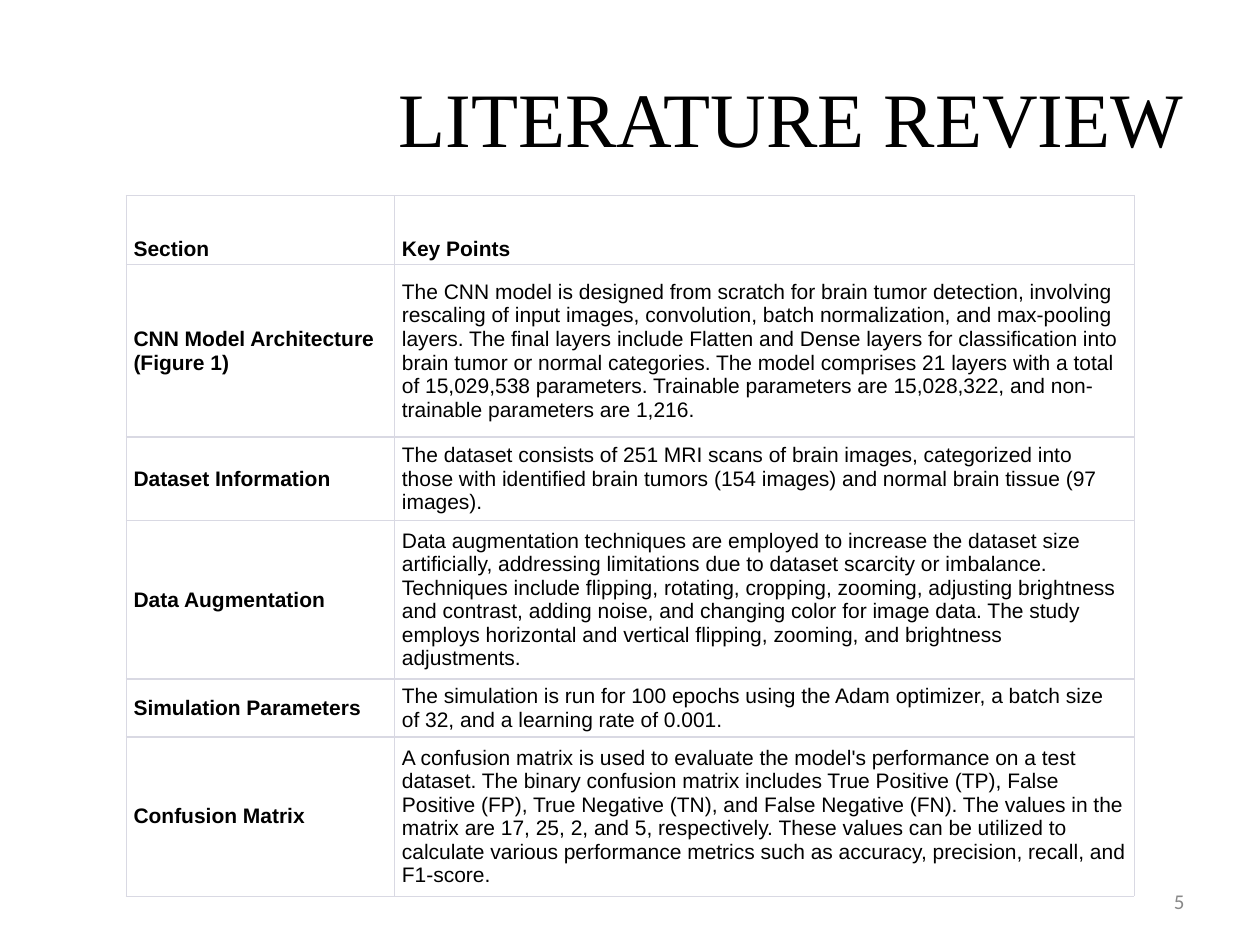
import pptx
import pptx.util
import pptx.dml.color
import pptx.enum.text
import pptx.oxml
import pptx.oxml.ns
import lxml.etree

Inches = pptx.util.Inches
Pt = pptx.util.Pt
Align = pptx.enum.text.PP_ALIGN
Anchor = pptx.enum.text.MSO_ANCHOR

BLACK = pptx.dml.color.RGBColor(0x00, 0x00, 0x00)
GRAY = pptx.dml.color.RGBColor(0x88, 0x88, 0x88)
BORDER = pptx.dml.color.RGBColor(0xD9, 0xD9, 0xE3)

TITLE = "LITERATURE REVIEW"
PAGE_NUMBER = "5"
ROWS = [
    ("Section", "Key Points"),
    ("CNN Model Architecture (Figure 1)",
     "The CNN model is designed from scratch for brain tumor detection, involving rescaling of "
     "input images, convolution, batch normalization, and max-pooling layers. The final layers "
     "include Flatten and Dense layers for classification into brain tumor or normal categories. "
     "The model comprises 21 layers with a total of 15,029,538 parameters. Trainable parameters "
     "are 15,028,322, and non-trainable parameters are 1,216."),
    ("Dataset Information",
     "The dataset consists of 251 MRI scans of brain images, categorized into those with "
     "identified brain tumors (154 images) and normal brain tissue (97 images)."),
    ("Data Augmentation",
     "Data augmentation techniques are employed to increase the dataset size artificially, "
     "addressing limitations due to dataset scarcity or imbalance. Techniques include flipping, "
     "rotating, cropping, zooming, adjusting brightness and contrast, adding noise, and changing "
     "color for image data. The study employs horizontal and vertical flipping, zooming, and "
     "brightness adjustments."),
    ("Simulation Parameters",
     "The simulation is run for 100 epochs using the Adam optimizer, a batch size of 32, and a "
     "learning rate of 0.001."),
    ("Confusion Matrix",
     "A confusion matrix is used to evaluate the model's performance on a test dataset. The "
     "binary confusion matrix includes True Positive (TP), False Positive (FP), True Negative "
     "(TN), and False Negative (FN). The values in the matrix are 17, 25, 2, and 5, respectively. "
     "These values can be utilized to calculate various performance metrics such as accuracy, "
     "precision, recall, and F1-score."),
]
COLUMN_WIDTHS = [2.13, 5.87]
ROW_HEIGHTS = [0.55, 1.37, 0.58, 1.11, 0.45, 1.24]
OUTER_LINE, INNER_LINE = 0.6, 1


def write(text_frame, text, font_name, size, color, bold=False, align=Align.LEFT):
    paragraph = text_frame.paragraphs[0]
    paragraph.alignment = align
    run = paragraph.add_run()
    run.text = text
    run.font.name = font_name
    run.font.size = Pt(size)
    run.font.bold = bold
    run.font.color.rgb = color


def set_borders(cell, widths):
    properties = cell._tc.get_or_add_tcPr()
    for side, width in widths.items():
        line = lxml.etree.SubElement(
            properties, pptx.oxml.ns.qn(f"a:ln{side}"), w=str(Pt(width)))
        fill = lxml.etree.SubElement(line, pptx.oxml.ns.qn("a:solidFill"))
        lxml.etree.SubElement(fill, pptx.oxml.ns.qn("a:srgbClr"), val=str(BORDER))


def add_title(slide):
    title = slide.shapes.title
    title.left, title.top = Inches(0.5), Inches(0.3)
    title.width, title.height = Inches(9), Inches(1.25)
    title.text_frame.vertical_anchor = Anchor.MIDDLE
    write(title.text_frame, TITLE, "Times New Roman", 44, BLACK, align=Align.RIGHT)


def add_review_table(slide):
    table = slide.shapes.add_table(
        len(ROWS), len(COLUMN_WIDTHS), Inches(1), Inches(1.55),
        Inches(sum(COLUMN_WIDTHS)), Inches(sum(ROW_HEIGHTS))).table
    table.first_row = table.horz_banding = False
    for column, width in zip(table.columns, COLUMN_WIDTHS):
        column.width = Inches(width)
    last = len(ROWS) - 1
    for row_index, texts in enumerate(ROWS):
        table.rows[row_index].height = Inches(ROW_HEIGHTS[row_index])
        for column_index, text in enumerate(texts):
            cell = table.cell(row_index, column_index)
            cell.margin_left = cell.margin_right = Inches(0.06)
            cell.margin_top = cell.margin_bottom = Inches(0.03)
            cell.vertical_anchor = Anchor.BOTTOM if row_index == 0 else Anchor.MIDDLE
            set_borders(cell, {
                "L": OUTER_LINE,
                "R": OUTER_LINE,
                "T": OUTER_LINE if row_index == 0 else INNER_LINE,
                "B": OUTER_LINE if row_index == last else INNER_LINE,
            })
            cell.fill.background()
            write(cell.text_frame, text, "Arial", 12, BLACK,
                  bold=row_index == 0 or column_index == 0)


def add_page_number(slide):
    box = slide.shapes.add_textbox(Inches(7.17), Inches(6.95), Inches(2.33), Inches(0.4))
    box.text_frame.word_wrap = True
    box.text_frame.vertical_anchor = Anchor.MIDDLE
    write(box.text_frame, PAGE_NUMBER, "Calibri", 12, GRAY, align=Align.RIGHT)


def main():
    presentation = pptx.Presentation()
    presentation.slide_width, presentation.slide_height = Inches(10), Inches(7.5)
    slide = presentation.slides.add_slide(presentation.slide_layouts.get_by_name("Title Only"))
    add_title(slide)
    add_page_number(slide)
    add_review_table(slide)
    presentation.save("out.pptx")


if __name__ == "__main__":
    main()
